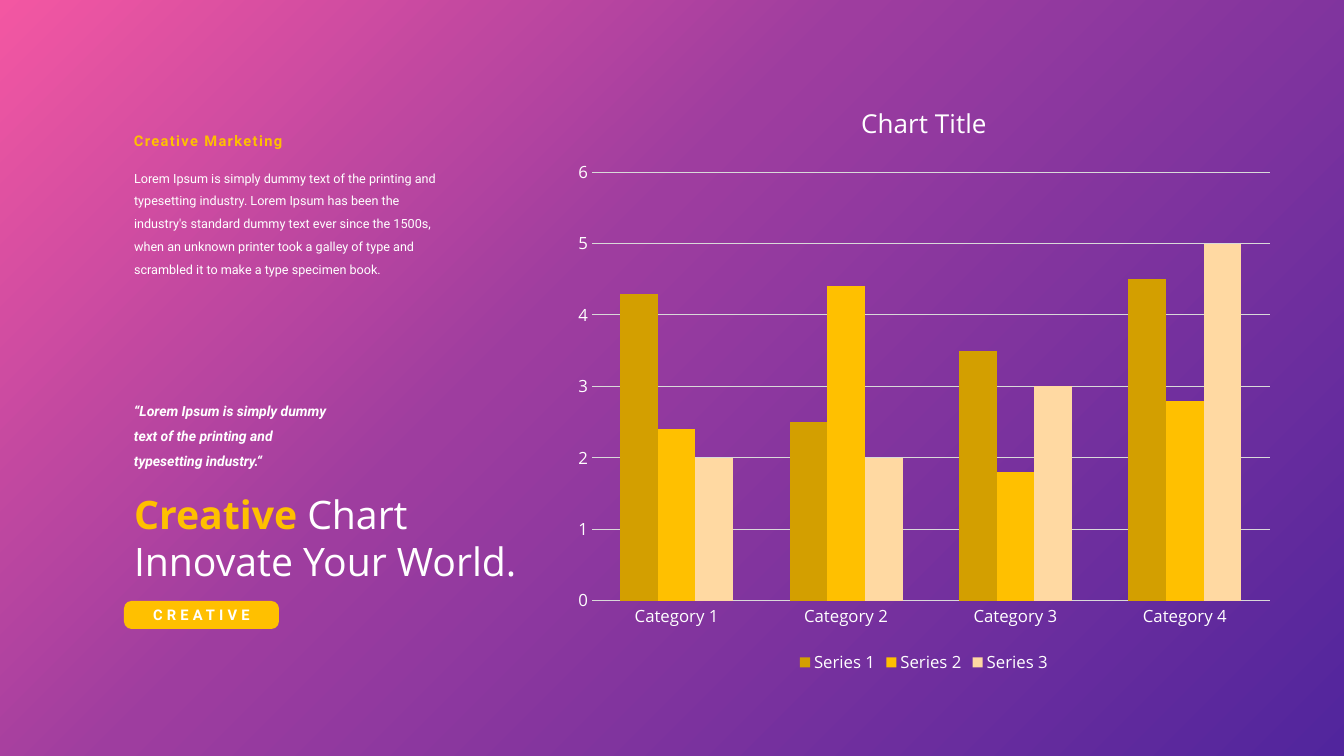
from typing import NamedTuple

from lxml.etree import SubElement
from pptx import Presentation
from pptx.chart.data import CategoryChartData
from pptx.dml.color import RGBColor
from pptx.enum.chart import XL_CHART_TYPE, XL_LEGEND_POSITION, XL_TICK_MARK
from pptx.enum.shapes import MSO_SHAPE
from pptx.enum.text import MSO_ANCHOR, MSO_AUTO_SIZE, PP_ALIGN
from pptx.oxml.ns import qn
from pptx.util import Emu, Pt

PIXEL = 914400 / 100.8
WHITE = RGBColor(0xFF, 0xFF, 0xFF)
GOLD = RGBColor(0xFF, 0xC0, 0x00)
DARK_GOLD = RGBColor(0xD3, 0x9F, 0x00)
PEACH = RGBColor(0xFF, 0xD9, 0xA2)
GRID_GRAY = RGBColor(0xD9, 0xD9, 0xD9)
PINK = RGBColor(0xF3, 0x57, 0xA2)
PURPLE = RGBColor(0x9E, 0x3D, 0x9F)
INDIGO = RGBColor(0x51, 0x25, 0x9D)
GRADIENT = ((0, PINK), (41, PURPLE), (100, INDIGO))
LEFT = 124


class Box(NamedTuple):
    """Place of an element in pixels."""

    left: int
    top: int
    width: int
    height: int

    def lengths(self) -> list[Emu]:
        """Return the four lengths in EMU."""
        return [Emu(round(value * PIXEL)) for value in self]


class Words(NamedTuple):
    """One run of text with its look."""

    text: str
    size: float
    font: str = "Roboto"
    color: RGBColor = WHITE
    bold: bool = False
    italic: bool = False
    tracking: float = 0


class Series(NamedTuple):
    """One column series."""

    name: str
    values: tuple[float, ...]
    color: RGBColor


CATEGORIES = [f"Category {number}" for number in range(1, 5)]
SERIES = (
    Series("Series 1", (4.3, 2.5, 3.5, 4.5), DARK_GOLD),
    Series("Series 2", (2.4, 4.4, 1.8, 2.8), GOLD),
    Series("Series 3", (2, 2, 3, 5), PEACH),
)
QUOTE = Words(
    "“Lorem Ipsum\u00a0is simply dummy text of the printing and typesetting industry.“",
    10, bold=True, italic=True,
)
HEADLINE = (
    Words("Creative ", 28, "Open Sans", GOLD, bold=True),
    Words("Chart Innovate Your World.", 28, "Open Sans"),
)
DESCRIPTION = Words(
    "Lorem Ipsum\u00a0is simply dummy text of the printing and typesetting industry. "
    "Lorem Ipsum has been the industry's standard dummy text ever since the 1500s, "
    "when an unknown printer took a galley of type and scrambled it to make a type "
    "specimen book.",
    9,
)
SUBTITLE = Words("Creative Marketing", 10.5, color=GOLD, bold=True, tracking=1)
BUTTON = Words("CREATIVE", 10.5, bold=True, tracking=3)


def paint_background(slide) -> None:
    """Fill the slide with the diagonal gradient."""
    slide.background.fill.gradient()
    gradient = slide.element.find(".//" + qn("a:gradFill"))
    for child in list(gradient):
        gradient.remove(child)
    stops = SubElement(gradient, qn("a:gsLst"))
    for percent, color in GRADIENT:
        stop = SubElement(stops, qn("a:gs"), pos=str(percent * 1000))
        SubElement(stop, qn("a:srgbClr"), val=str(color))
    SubElement(gradient, qn("a:lin"), ang=str(45 * 60000), scaled="0")


def style_font(font, size: float, name: str = "Open Sans", color: RGBColor = WHITE) -> None:
    """Set size, typeface and colour of a font."""
    font.size = Pt(size)
    font.name = name
    font.color.rgb = color


def write(shape, *runs: Words, spacing: float = 1.0, align=PP_ALIGN.LEFT,
          anchor=MSO_ANCHOR.TOP, auto_size=MSO_AUTO_SIZE.SHAPE_TO_FIT_TEXT) -> None:
    """Write one paragraph of styled runs into a shape."""
    frame = shape.text_frame
    frame.word_wrap = True
    frame.auto_size = auto_size
    frame.vertical_anchor = anchor
    paragraph = frame.paragraphs[0]
    paragraph.alignment = align
    paragraph.line_spacing = spacing
    paragraph.space_before = Pt(0)
    for words in runs:
        run = paragraph.add_run()
        run.text = words.text
        style_font(run.font, words.size, words.font, words.color)
        run.font.bold = words.bold
        run.font.italic = words.italic
        if words.tracking:
            run.font._element.set("spc", str(round(words.tracking * 100)))


def place(shape, box: Box) -> None:
    """Move and size a placeholder."""
    shape.left, shape.top, shape.width, shape.height = box.lengths()


def remove_bullet(shape) -> None:
    """Drop the bullet and its indent from the first paragraph."""
    properties = shape.text_frame.paragraphs[0]._p.get_or_add_pPr()
    properties.set("marL", "0")
    properties.set("indent", "0")
    SubElement(properties, qn("a:buNone"))


def add_text(slide, box: Box, words: Words, spacing: float = 1.0) -> None:
    """Add a text box with one run."""
    write(slide.shapes.add_textbox(*box.lengths()), words, spacing=spacing)


def add_button(slide, box: Box) -> None:
    """Add the rounded label."""
    button = slide.shapes.add_shape(MSO_SHAPE.ROUNDED_RECTANGLE, *box.lengths())
    button.adjustments[0] = 0.27
    button.shadow.inherit = False
    button.fill.solid()
    button.fill.fore_color.rgb = GOLD
    button.line.fill.background()
    write(button, BUTTON, align=PP_ALIGN.CENTER, anchor=MSO_ANCHOR.MIDDLE,
          auto_size=MSO_AUTO_SIZE.NONE)


def add_column_chart(slide, box: Box) -> None:
    """Add the clustered column chart."""
    data = CategoryChartData()
    data.categories = CATEGORIES
    for series in SERIES:
        data.add_series(series.name, series.values)
    chart = slide.shapes.add_chart(
        XL_CHART_TYPE.COLUMN_CLUSTERED, *box.lengths(), data).chart
    style_font(chart.font, 10)
    chart.has_title = True
    title_run = chart.chart_title.text_frame.paragraphs[0].add_run()
    title_run.text = "Chart Title"
    style_font(title_run.font, 18.6)
    title_run.font.bold = False
    chart.chart_title.include_in_layout = False
    chart.has_legend = True
    chart.legend.position = XL_LEGEND_POSITION.BOTTOM
    chart.legend.include_in_layout = False
    style_font(chart.legend.font, 12)
    for axis in (chart.category_axis, chart.value_axis):
        axis.major_tick_mark = axis.minor_tick_mark = XL_TICK_MARK.NONE
        axis.format.line.fill.background()
        style_font(axis.tick_labels.font, 12)
    value_axis = chart.value_axis
    value_axis.minimum_scale, value_axis.maximum_scale, value_axis.major_unit = 0, 6, 1
    grid_line = value_axis.major_gridlines.format.line
    grid_line.color.rgb = GRID_GRAY
    grid_line.width = Pt(0.75)
    plot = chart.plots[0]
    plot.vary_by_categories = False
    plot.gap_width = 150
    plot.overlap = 0
    for column, series in zip(plot.series, SERIES):
        column.format.fill.solid()
        column.format.fill.fore_color.rgb = series.color


def main() -> None:
    """Build and save the slide."""
    presentation = Presentation()
    presentation.slide_width, presentation.slide_height = Box(0, 0, 1344, 756).lengths()[2:]
    slide = presentation.slides.add_slide(presentation.slide_layouts[1])
    paint_background(slide)
    title, body = slide.placeholders
    place(title, Box(LEFT, 485, 408, 105))
    write(title, *HEADLINE)
    place(body, Box(LEFT, 158, 337, 122))
    write(body, DESCRIPTION, spacing=1.5)
    remove_bullet(body)
    add_text(slide, Box(LEFT, 389, 218, 84), QUOTE, spacing=1.5)
    add_text(slide, Box(LEFT, 127, 211, 29), SUBTITLE)
    add_button(slide, Box(LEFT, 601, 155, 28))
    add_column_chart(slide, Box(564, 80, 720, 598))
    presentation.save("out.pptx")


main()
